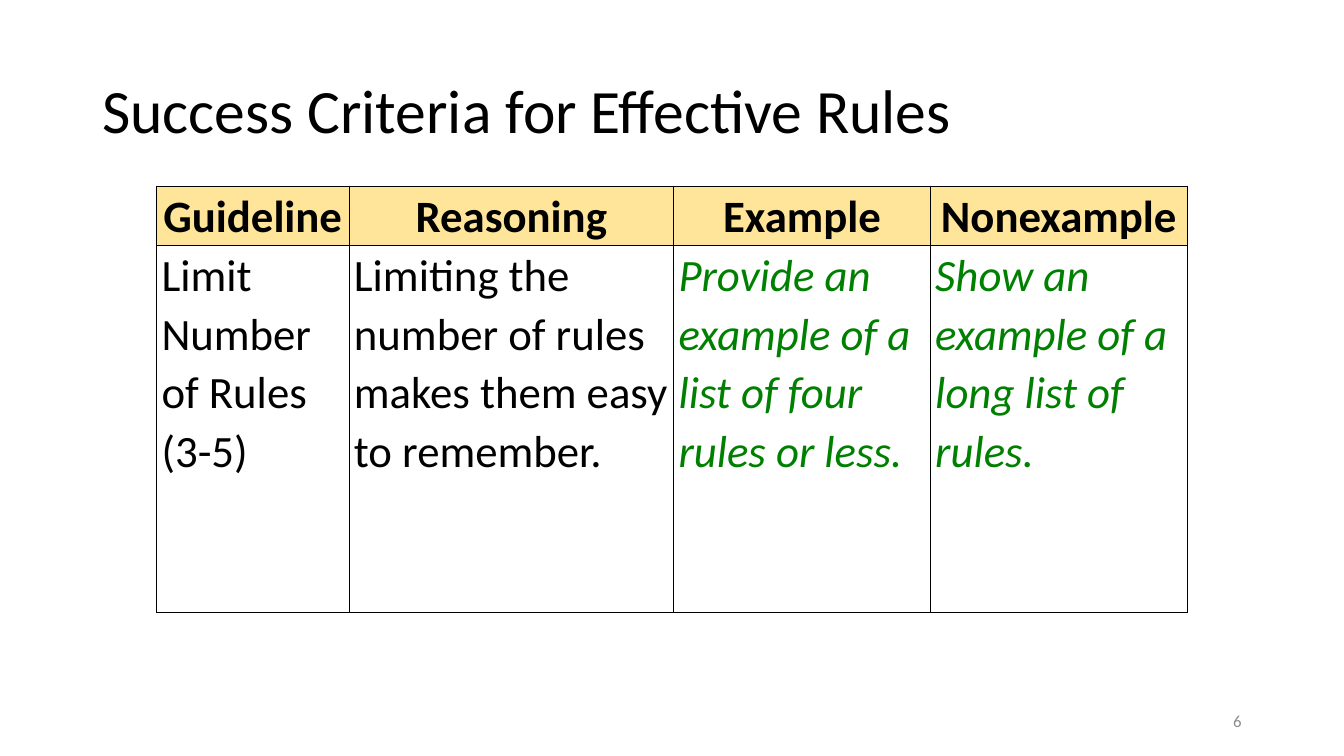
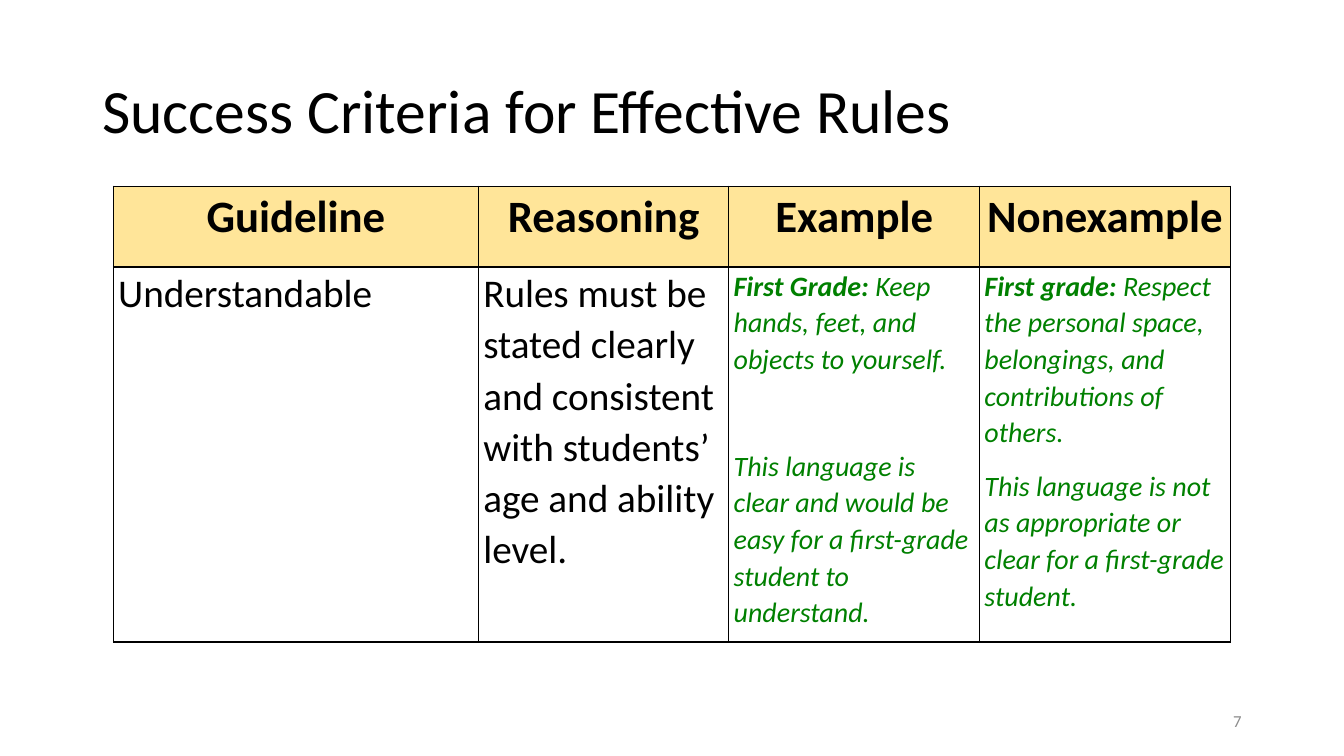
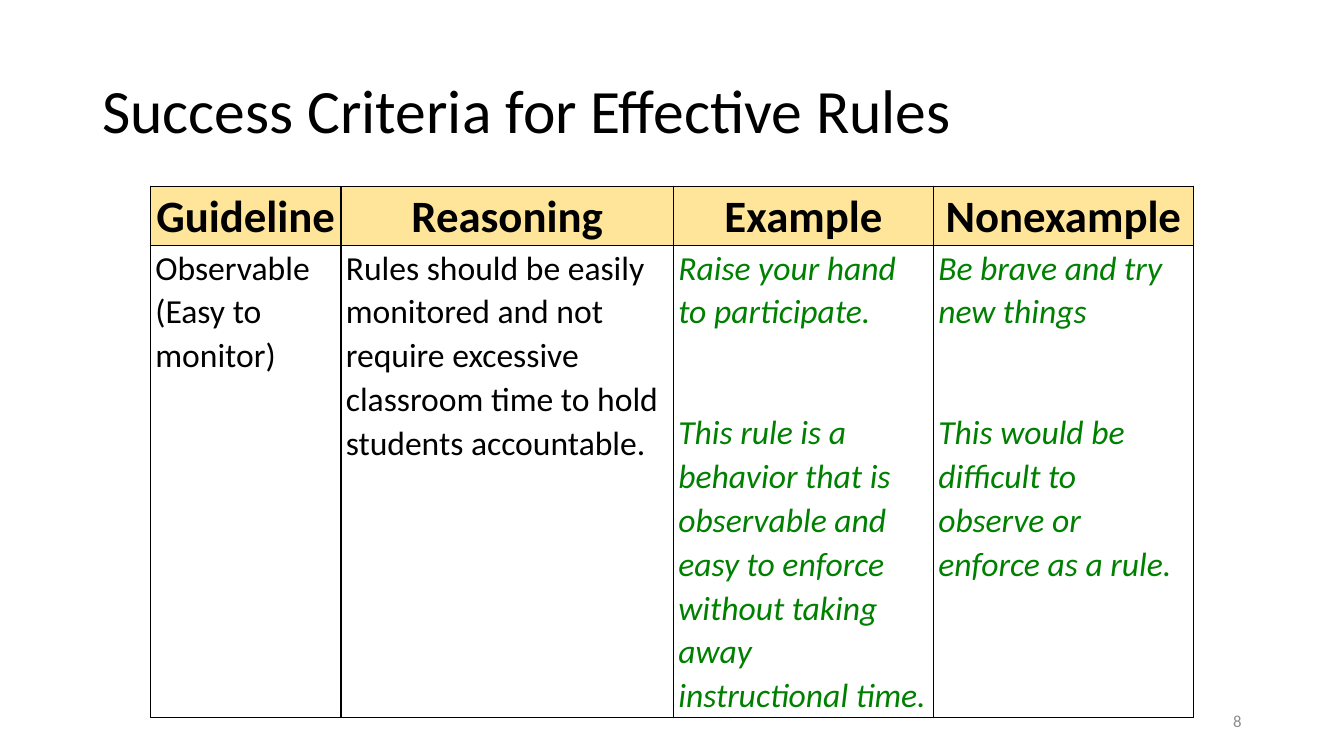
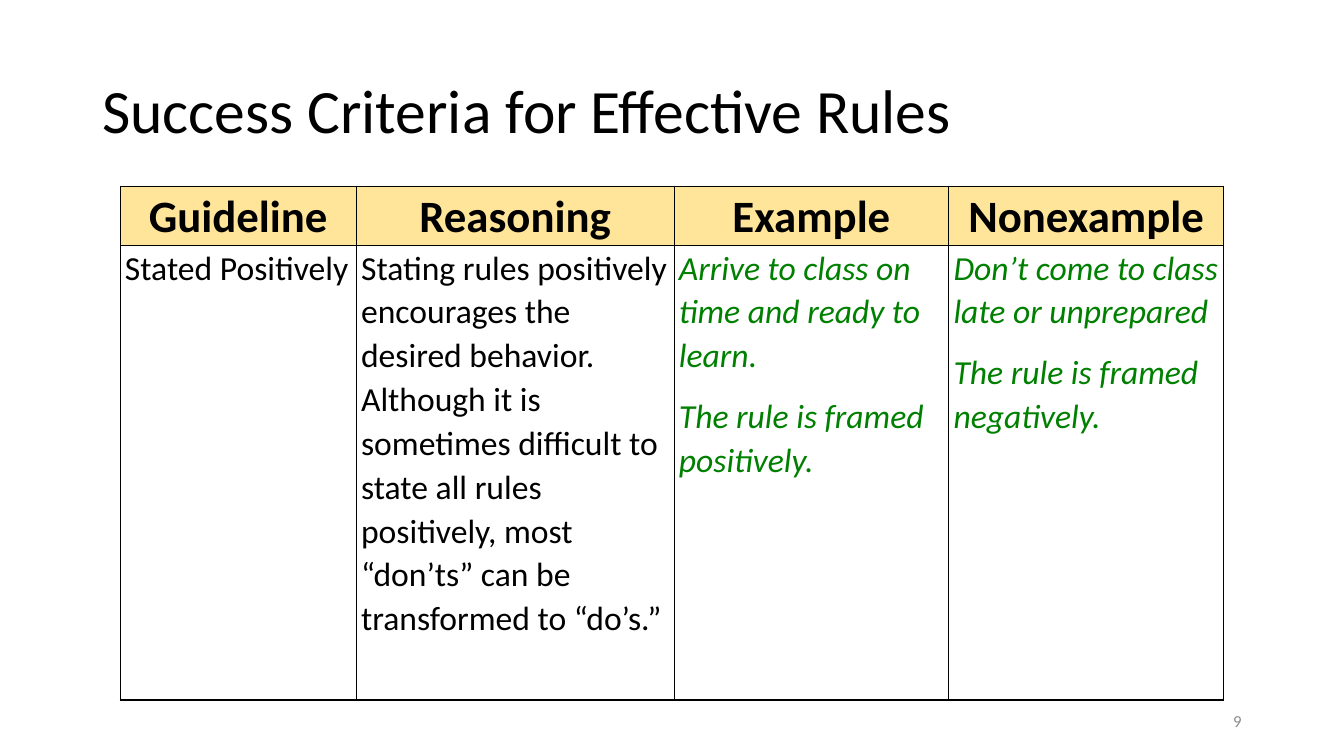
from dataclasses import dataclass
from lxml.etree import SubElement as Sub
from pptx import Presentation as Deck
from pptx.dml.color import RGBColor as Rgb
from pptx.enum.text import MSO_ANCHOR as Anchor, PP_ALIGN as Align
from pptx.oxml.ns import qn
from pptx.util import Cm, Pt


@dataclass
class Theme:
    face: str = "Calibri"
    ink: str = "000000"
    green: str = "008000"
    gray: str = "8C8C8C"
    gold: str = "FFE599"
    title: int = 44
    head: int = 32
    foot: int = 12
    lead: float = 1.07
    gap: int = 12
    rule: int = 1


@dataclass
class Para:
    text: str
    intro: str = ""
    gap: int = Theme.gap


theme = Theme()
heads = ["Guideline", "Reasoning", "Example", "Nonexample"]
pages = [
    dict(
        num=6, cols=[4.85, 8.18, 6.47, 6.47], rows=[1.49, 9.25], sizes=[32] * 4,
        cells=[
            [Para("Limit Number of Rules (3-5)")],
            [Para("Limiting the number of rules makes them easy to remember.")],
            [Para("Provide an example of a list of four rules or less.")],
            [Para("Show an example of a long list of rules.")],
        ],
    ),
    dict(
        num=7, cols=[9.2, 6.31, 6.32, 6.32], rows=[2.04, 9.45], sizes=[28, 28, 20, 20],
        cells=[
            [Para("Understandable")],
            [Para("Rules must be stated clearly and consistent with students’ age and ability level.")],
            [
                Para(" Keep hands, feet, and objects to yourself.", "First Grade:"),
                Para("This language is clear and would be easy for a first-grade student to understand.", gap=50),
            ],
            [
                Para(" Respect the personal space, belongings, and contributions of others.", "First grade:"),
                Para("This language is not as appropriate or clear for a first-grade student."),
            ],
        ],
    ),
    dict(
        num=8, cols=[4.8, 8.38, 6.55, 6.55], rows=[1.49, 11.9], sizes=[24] * 4,
        cells=[
            [Para("Observable (Easy to monitor)")],
            [Para("Rules should be easily monitored and not require excessive classroom time to hold students accountable.")],
            [
                Para("Raise your hand to participate."),
                Para("This rule is a behavior that is observable and easy to enforce without taking away instructional time.", gap=55),
            ],
            [
                Para("Be brave and try new things"),
                Para("This would be difficult to observe or enforce as a rule.", gap=55),
            ],
        ],
    ),
    dict(
        num=9, cols=[5.95, 8.01, 6.92, 6.93], rows=[1.49, 11.46], sizes=[24] * 4,
        cells=[
            [Para("Stated Positively")],
            [Para("Stating rules positively encourages the desired behavior. Although it is sometimes difficult to state all rules positively, most “don’ts” can be transformed to “do’s.”")],
            [Para("Arrive to class on time and ready to learn."), Para("The rule is framed positively.")],
            [Para("Don’t come to class late or unprepared"), Para("The rule is framed negatively.")],
        ],
    ),
]


def write(frame, paras, size, color, align=Align.LEFT, lead=theme.lead, bold=False, slant=False):
    frame.word_wrap = True
    for i, para in enumerate(paras):
        line = frame.add_paragraph() if i else frame.paragraphs[0]
        line.alignment = align
        line.line_spacing = lead
        if i:
            line.space_before = Pt(para.gap)
        font = line.font
        font.name, font.size = theme.face, Pt(size)
        font.bold, font.italic = bold, slant
        font.color.rgb = Rgb.from_string(color)
        if para.intro:
            run = line.add_run()
            run.text = para.intro
            run.font.bold = True
        line.add_run().text = para.text


def frame_cell(cell, fill=None):
    cell.margin_left = cell.margin_right = Cm(0.12)
    cell.margin_top = cell.margin_bottom = 0
    props = cell._tc.get_or_add_tcPr()
    for side in ("lnL", "lnR", "lnT", "lnB"):
        edge = Sub(props, qn(f"a:{side}"), w=str(Pt(theme.rule)))
        Sub(Sub(edge, qn("a:solidFill")), qn("a:srgbClr"), val=theme.ink)
    if fill:
        cell.fill.solid()
        cell.fill.fore_color.rgb = Rgb.from_string(fill)
    else:
        cell.fill.background()


deck = Deck()
deck.slide_width, deck.slide_height = Cm(33.87), Cm(19.05)

for page in pages:
    slide = deck.slides.add_slide(deck.slide_layouts[6])
    shapes = slide.shapes

    title = shapes.add_textbox(Cm(2.33), Cm(1.01), Cm(29.21), Cm(3.68)).text_frame
    title.vertical_anchor = Anchor.MIDDLE
    write(title, [Para("Success Criteria for Effective Rules")], theme.title, theme.ink, lead=0.9)

    foot = shapes.add_textbox(Cm(23.92), Cm(17.66), Cm(7.62), Cm(1.01)).text_frame
    foot.vertical_anchor = Anchor.MIDDLE
    write(foot, [Para(str(page["num"]))], theme.foot, theme.gray, Align.RIGHT, 1.0)

    wide = Cm(sum(page["cols"]))
    left = (deck.slide_width - wide) // 2
    grid = shapes.add_table(2, 4, left, Cm(4.69), wide, Cm(sum(page["rows"]))).table
    grid.first_row = grid.horz_banding = False
    for row, tall in zip(grid.rows, page["rows"]):
        row.height = Cm(tall)
    for c, span in enumerate(page["cols"]):
        grid.columns[c].width = Cm(span)
        top, body = grid.cell(0, c), grid.cell(1, c)
        frame_cell(top, theme.gold)
        frame_cell(body)
        write(top.text_frame, [Para(heads[c])], theme.head, theme.ink, Align.CENTER, bold=True)
        sample = c > 1
        color = theme.green if sample else theme.ink
        write(body.text_frame, page["cells"][c], page["sizes"][c], color, slant=sample)

deck.save("out.pptx")
